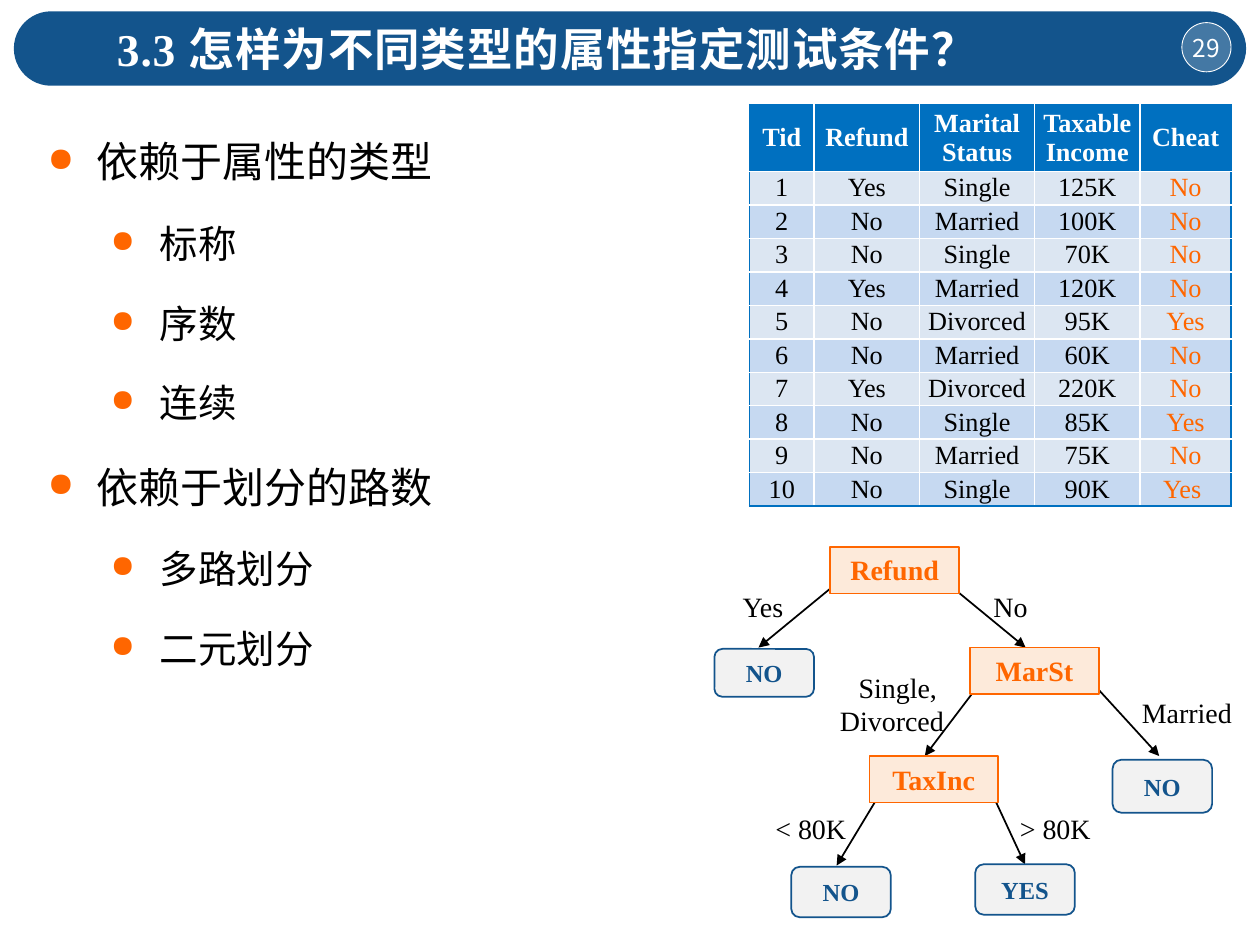
"""Build a slide on attribute test conditions with a data table and a decision tree."""
from lxml import etree
from pptx import Presentation
from pptx.dml.color import RGBColor
from pptx.enum.shapes import MSO_CONNECTOR, MSO_SHAPE
from pptx.enum.text import MSO_ANCHOR, PP_ALIGN
from pptx.oxml.ns import qn
from pptx.util import Inches, Pt

STRAIGHT = MSO_CONNECTOR.STRAIGHT
RECTANGLE, ROUNDED, OVAL = MSO_SHAPE.RECTANGLE, MSO_SHAPE.ROUNDED_RECTANGLE, MSO_SHAPE.OVAL
TOP, MIDDLE = MSO_ANCHOR.TOP, MSO_ANCHOR.MIDDLE
LEFT, CENTER, RIGHT, JUSTIFY = PP_ALIGN.LEFT, PP_ALIGN.CENTER, PP_ALIGN.RIGHT, PP_ALIGN.JUSTIFY
LATIN, CHINESE = "Times New Roman", "Noto Sans CJK SC"
NAVY, BLUE, ORANGE, WHITE, BLACK = "13548C", "0070C0", "FF6600", "FFFFFF", "000000"
PEACH, GRAY, BANDS = "FDEADA", "F2F2F2", ("DCE6F2", "C6D9F1")

TITLE = "3.3 怎样为不同类型的属性指定测试条件？"
PAGE_NUMBER = "29"
OUTLINE = [
    (0, "依赖于属性的类型"), (1, "标称"), (1, "序数"), (1, "连续"),
    (0, "依赖于划分的路数"), (1, "多路划分"), (1, "二元划分"),
]
LEVELS = [(0.39, 24), (0.89, 22)]

COLUMN_WIDTHS = [0.51, 0.84, 0.91, 0.84, 0.72]
HEADER_HEIGHT, ROW_HEIGHT = 0.53, 0.266
RECORDS = [
    ("Tid", "Refund", "Marital Status", "Taxable Income", "Cheat"),
    ("1", "Yes", "Single", "125K", "No"),
    ("2", "No", "Married", "100K", "No"),
    ("3", "No", "Single", "70K", "No"),
    ("4", "Yes", "Married", "120K", "No"),
    ("5", "No", "Divorced", "95K", "Yes"),
    ("6", "No", "Married", "60K", "No"),
    ("7", "Yes", "Divorced", "220K", "No"),
    ("8", "No", "Single", "85K", "Yes"),
    ("9", "No", "Married", "75K", "No"),
    ("10", "No", "Single", "90K", "Yes "),
]

BRANCHES = [
    (7.87, 6.29, 8.14, 6.87), (6.99, 6.29, 6.64, 6.87), (7.78, 5.42, 7.34, 6),
    (8.67, 5.42, 9.2, 6), (7.52, 4.63, 8.14, 5.14), (6.64, 4.63, 6.02, 5.14),
]
TESTS = [("Refund", 6.59, 4.34), ("MarSt", 7.7, 5.14), ("TaxInc", 6.9, 6)]
LEAVES = [
    ("YES", 7.74, 6.86, 0.4), ("NO", 6.28, 6.88, 0.4),
    ("NO", 5.67, 5.15, 0.38), ("NO", 8.83, 6.03, 0.42),
]
BRANCH_LABELS = [
    (["Yes"], (5.79, 4.63, 0.53, 0.37), CENTER), (["No"], (7.78, 4.63, 0.48, 0.37), CENTER),
    (["Married "], (8.95, 5.47, 0.94, 0.37), CENTER),
    (["Single, ", "Divorced"], (6.55, 5.27, 1.04, 0.64), RIGHT),
    (["< 80K"], (6.05, 6.39, 0.77, 0.37), CENTER), (["> 80K"], (7.99, 6.39, 0.77, 0.37), CENTER),
]


def rgb(value):
    return RGBColor.from_string(value)


def add_element(parent, tag, **attributes):
    return etree.SubElement(parent, qn(tag), attributes)


def add_span(para, text, size, color, bold=False, font=LATIN, align=CENTER):
    para.alignment = align
    span = para.add_run()
    span.text = text
    span.font.name, span.font.size, span.font.bold = font, Pt(size), bold
    span.font.color.rgb = rgb(color)
    add_element(span.font._element, "a:ea", typeface=CHINESE)
    return span


def set_margins(frame, margin):
    frame.margin_left = frame.margin_right = margin
    frame.margin_top = frame.margin_bottom = margin


def add_shape(page, kind, place, fill, line=None, width=1):
    shape = page.shapes.add_shape(kind, *map(Inches, place))
    shape.shadow.inherit = False
    shape.fill.solid()
    shape.fill.fore_color.rgb = rgb(fill)
    if line:
        shape.line.color.rgb = rgb(line)
        shape.line.width = Pt(width)
    else:
        shape.line.fill.background()
    return shape


def add_text(page, place, wrap=True):
    frame = page.shapes.add_textbox(*map(Inches, place)).text_frame
    frame.word_wrap = wrap
    return frame


def add_banner(page):
    bar = add_shape(page, ROUNDED, (0.11, 0.09, 9.78, 0.59), NAVY)
    bar.adjustments[0] = 0.5
    badge = add_shape(page, OVAL, (9.38, 0.18, 0.39, 0.39), WHITE, WHITE, 0.5)
    color = badge.fill._xPr.find(qn("a:solidFill"))[0]
    add_element(color, "a:alpha", val="21000")
    frame = badge.text_frame
    set_margins(frame, 0)
    frame.word_wrap, frame.vertical_anchor = False, MIDDLE
    add_span(frame.paragraphs[0], PAGE_NUMBER, 14, WHITE, font=CHINESE)
    title = add_text(page, (0.83, 0.12, 9.06, 0.54))
    span = add_span(title.paragraphs[0], TITLE, 26, WHITE, True, align=LEFT)
    span.font._element.set("spc", "50")


def add_outline(page):
    frame = add_text(page, (0.28, 0.83, 3.82, 4.53))
    for index, (level, text) in enumerate(OUTLINE):
        para = frame.add_paragraph() if index else frame.paragraphs[0]
        indent, size = LEVELS[level]
        para.level = level
        settings = para._p.get_or_add_pPr()
        settings.set("marL", str(Inches(indent)))
        settings.set("indent", str(-Inches(0.39)))
        add_element(add_element(settings, "a:buClr"), "a:srgbClr", val=ORANGE)
        add_element(settings, "a:buSzPct", val="80000")
        add_element(settings, "a:buChar", char="●")
        para.line_spacing = 1.5
        if index:
            para.space_before = Pt(6)
        add_span(para, text, size, BLACK, align=JUSTIFY)


def add_border(cell, side, color):
    line = add_element(cell._tc.get_or_add_tcPr(), f"a:ln{side}", w=str(Pt(1)))
    add_element(add_element(line, "a:solidFill"), "a:srgbClr", val=color)


def add_records(page):
    last_row, last_column = len(RECORDS) - 1, len(COLUMN_WIDTHS) - 1
    height = HEADER_HEIGHT + last_row * ROW_HEIGHT
    place = (5.95, 0.83, sum(COLUMN_WIDTHS), height)
    table = page.shapes.add_table(last_row + 1, last_column + 1, *map(Inches, place)).table
    for column, width in zip(table.columns, COLUMN_WIDTHS):
        column.width = Inches(width)
    for r, record in enumerate(RECORDS):
        table.rows[r].height = Inches(ROW_HEIGHT if r else HEADER_HEIGHT)
        for c, text in enumerate(record):
            cell = table.cell(r, c)
            set_margins(cell, 0)
            cell.vertical_anchor = MIDDLE
            outer = {"L": c == 0, "R": c == last_column, "T": r == 0, "B": r == last_row}
            for side, is_outer in outer.items():
                add_border(cell, side, BLUE if is_outer else WHITE)
            cell.fill.solid()
            cell.fill.fore_color.rgb = rgb(BANDS[(r - 1) % 2] if r else BLUE)
            body_color = ORANGE if c == last_column else BLACK
            add_span(cell.text_frame.paragraphs[0], text, 15, body_color if r else WHITE, r == 0)


def add_branch(page, ends):
    branch = page.shapes.add_connector(STRAIGHT, *map(Inches, ends))
    branch.line.color.rgb = rgb(BLACK)
    branch.line.width = Pt(1)
    add_element(branch.line._get_or_add_ln(), "a:tailEnd", type="triangle")
    add_element(branch._element.spPr, "a:effectLst")
    return branch


def add_tree(page):
    branches = [add_branch(page, ends) for ends in BRANCHES]
    for text, left, top in TESTS:
        box = add_shape(page, RECTANGLE, (left, top, 1.02, 0.37), PEACH, ORANGE)
        box.text_frame.vertical_anchor = TOP
        add_span(box.text_frame.paragraphs[0], text, 16, ORANGE, True)
    leaves = []
    for text, left, top, height in LEAVES:
        leaf = add_shape(page, ROUNDED, (left, top, 0.79, height), GRAY, NAVY)
        leaf.text_frame.word_wrap, leaf.text_frame.vertical_anchor = False, MIDDLE
        add_span(leaf.text_frame.paragraphs[0], text, 14, NAVY, True)
        leaves.append(leaf)
    branches[0].end_connect(leaves[0], 0)
    for lines, place, align in BRANCH_LABELS:
        frame = add_text(page, place, wrap=len(lines) == 1)
        for index, text in enumerate(lines):
            para = frame.add_paragraph() if index else frame.paragraphs[0]
            add_span(para, text, 16, BLACK, align=align)


def main():
    deck = Presentation()
    deck.slide_width, deck.slide_height = Inches(10), Inches(7.5)
    page = deck.slides.add_slide(deck.slide_layouts[6])
    add_banner(page)
    add_outline(page)
    add_records(page)
    add_tree(page)
    deck.save("out.pptx")


if __name__ == "__main__":
    main()
